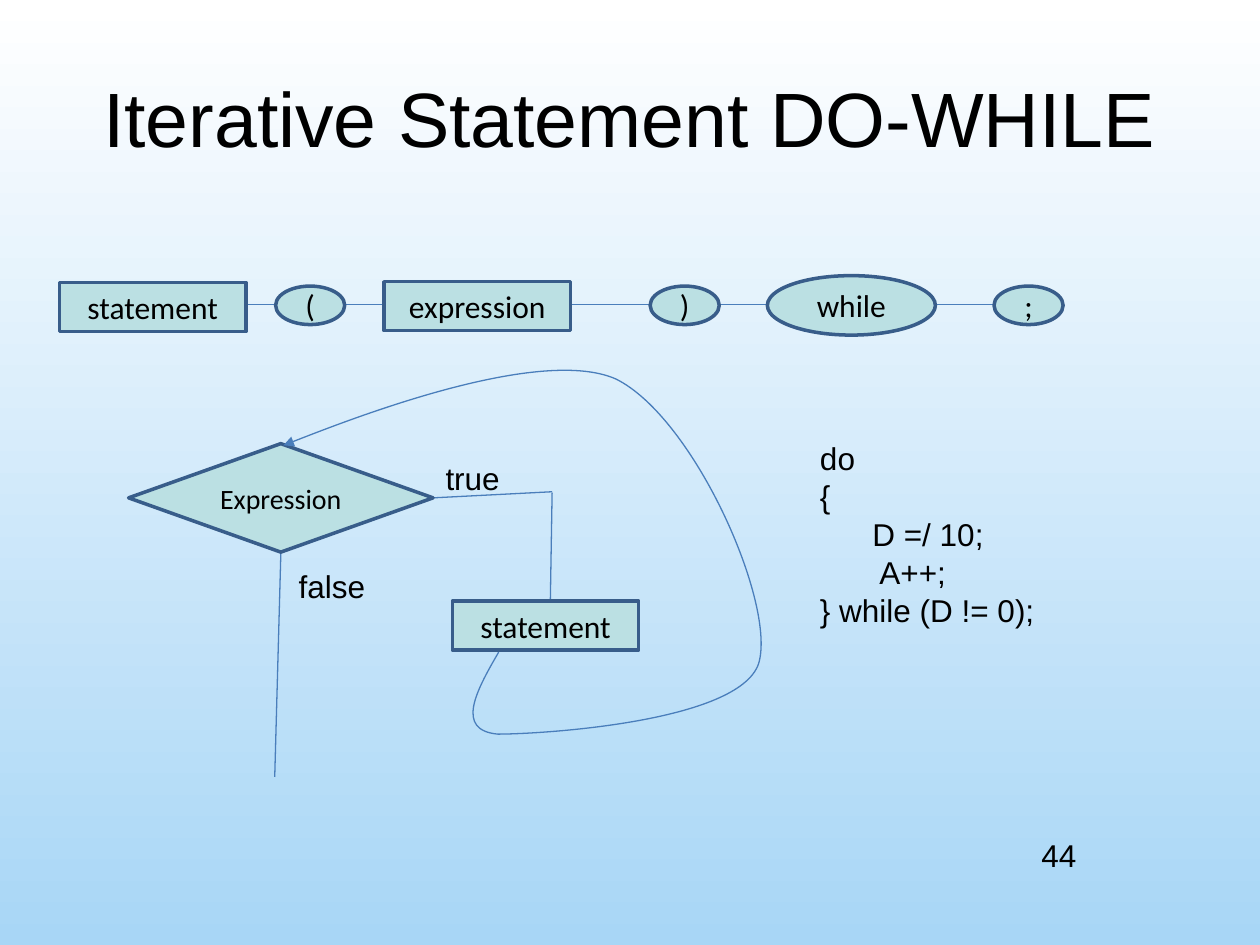
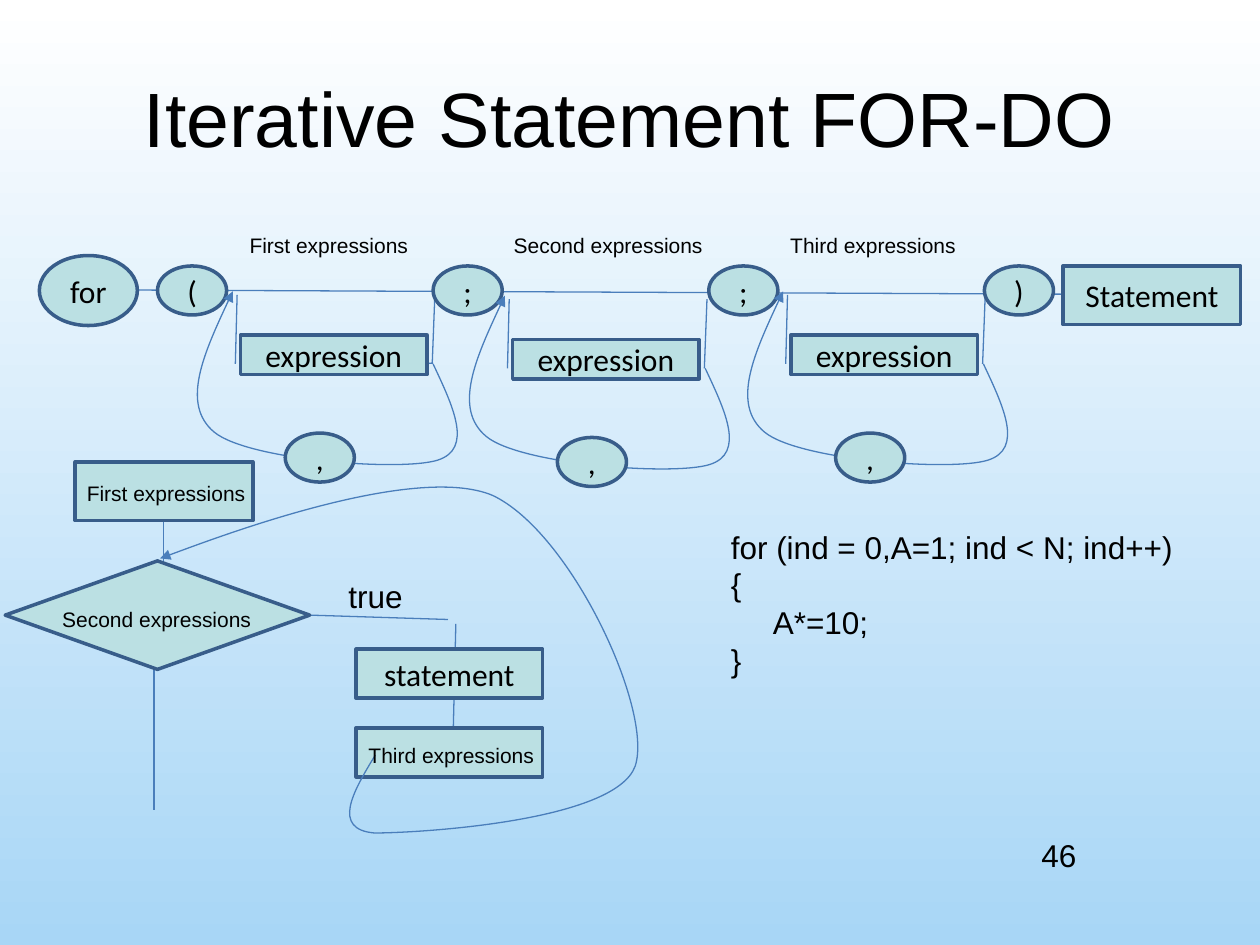
from lxml import etree
from pptx import Presentation
from pptx.dml.color import RGBColor
from pptx.enum.shapes import MSO_CONNECTOR, MSO_SHAPE
from pptx.enum.text import MSO_ANCHOR, PP_ALIGN
from pptx.oxml.ns import qn
from pptx.util import Pt

OVAL, RECT, DIAMOND = MSO_SHAPE.OVAL, MSO_SHAPE.RECTANGLE, MSO_SHAPE.DIAMOND
STRAIGHT = MSO_CONNECTOR.STRAIGHT
LEFT, CENTER = PP_ALIGN.LEFT, PP_ALIGN.CENTER
TOP, MIDDLE = MSO_ANCHOR.TOP, MSO_ANCHOR.MIDDLE

COLORS = {
    "sky_top": "FFFFFF",
    "sky_bottom": "A8D6F6",
    "node": "BBE0E3",
    "node_border": "385D8A",
    "line": "4A7EBB",
    "text": "000000",
}
RGB = {name: RGBColor.from_string(value) for name, value in COLORS.items()}


def add_box(page, preset, text, bounds, size=18, align=LEFT, anchor=TOP):
    """Add a diagram node, or a plain text box when preset is None."""
    bounds = [Pt(value) for value in bounds]
    if preset is None:
        box = page.shapes.add_textbox(*bounds)
    else:
        box = page.shapes.add_shape(preset, *bounds)
        box.shadow.inherit = False
        box.fill.solid()
        box.fill.fore_color.rgb = RGB["node"]
        box.line.color.rgb = RGB["node_border"]
        box.line.width = Pt(2)
        align, anchor = CENTER, MIDDLE
    if not text:
        return
    frame = box.text_frame
    frame.word_wrap = True
    frame.vertical_anchor = anchor
    frame.text = text
    for para in frame.paragraphs:
        para.alignment = align
        para.font.name = "Calibri" if preset else "Arial"
        para.font.size = Pt(size)
        para.font.color.rgb = RGB["text"]


def feedback_curve(left, top, height):
    """Points of the loop that leads from the statement back to the condition."""
    outline = [(123, 0.79), (110, 0.89), (98, 0.99), (122.5, 1),
               (147, 1), (260, 0.97), (271.5, 0.82),
               (282, 0.67), (235, 0.19), (190, 0.09),
               (144.5, 0), (0, 0.26), (0, 0.26)]
    return [(left + x, top + height * y) for x, y in outline]


# DO-WHILE: syntax row, flow chart and code
do_while = {
    "title": "Iterative Statement DO-WHILE",
    "number": "44",
    "lines": [(34, 174, 596, 174), (247.5, 284.5, 315.5, 281),
              (315.5, 281.5, 314.5, 343.5), (160.5, 315.5, 157, 444)],
    "nodes": [
        (RECT, "statement", (34, 161.5, 106.5, 28)),
        (OVAL, "(", (157.5, 163.5, 39.5, 22)),
        (RECT, "expression", (219.5, 161, 106.5, 28)),
        (OVAL, ")", (371.5, 163.5, 39.5, 22)),
        (OVAL, "while", (438.5, 157.5, 96, 34)),
        (OVAL, ";", (568, 163.5, 39.5, 22)),
        (DIAMOND, "Expression", (73.5, 253.5, 174, 62), 16),
        (RECT, "statement", (258.5, 343.5, 106.5, 28)),
    ],
    "curves": [feedback_curve(162, 196.5, 223)],
    "commas": [],
    "labels": [
        ("true", (247.5, 258.5, 62, 29), 18),
        ("false", (163.5, 320.5, 62, 29), 18),
        ("do\n{\n      D =/ 10;\n       A++;\n} while (D != 0);",
         (461.5, 247.5, 225, 137), 18),
    ],
}

# FOR-DO: syntax row, flow chart and code
for_do = {
    "title": "Iterative Statement FOR-DO",
    "number": "46",
    "lines": [(22, 165.5, 698, 168.5), (137.5, 209, 247.5, 207.5),
              (260.5, 356.5, 259, 418.5), (177, 351.5, 256, 354),
              (93.5, 298, 93.5, 321), (88, 383, 88, 463)],
    "nodes": [
        (OVAL, "for", (22.5, 146, 56, 40)),
        (RECT, "Statement", (607.5, 152, 101.5, 33.5)),
        (RECT, "", (43, 264, 101.5, 33.5)),
        (DIAMOND, "", (3, 320.5, 174, 62)),
        (RECT, "statement", (203.5, 371, 106.5, 28)),
        (RECT, "", (203.5, 416, 106.5, 28)),
    ],
    "curves": [feedback_curve(91.5, 264, 212)],
    "commas": [],
    "labels": [
        ("First expressions", (135.5, 129.5, 112, 21.5), 12),
        ("Second expressions", (286.5, 129.5, 130, 21.5), 12),
        ("Third expressions", (444.5, 129.5, 130, 21.5), 12),
        ("First expressions", (42.5, 271, 112, 21.5), 12),
        ("Second expressions", (28.5, 343, 130, 21.5), 12),
        ("Third expressions", (203.5, 421, 130, 21.5), 12),
        ("true", (192, 326, 62, 29), 18),
        ("for (ind = 0,A=1; ind < N; ind++)\n{\n     A*=10;\n}",
         (410.5, 298, 281.5, 93.5), 18),
    ],
}

# Separators of the FOR-DO header
for index, sign in enumerate("(;;)"):
    for_do["nodes"].append((OVAL, sign, (90 + 157.5 * index, 152, 39.5, 28)))

# Comma loop around each expression of the FOR-DO header
comma_loop = [(110, 16.5), (121.5, 41), (133, 65), (112.5, 71.5),
              (91.5, 78), (4.5, 71.5), (-15, 55.5),
              (-34.5, 39.5), (-19.5, 7), (-4.5, -25)]
for left, top in [(137.5, 191.5), (293, 194), (452, 191.5)]:
    for_do["nodes"].append((RECT, "expression", (left, top, 106.5, 22.5)))
    for_do["lines"] += [(left - 2, top - 23, left - 3, top + 16.5),
                        (left + 111, top - 23, left + 109.5, top + 16.5)]
    for_do["curves"].append([(left + x, top + y) for x, y in comma_loop])
    for_do["commas"].append((OVAL, ",", (left + 25.5, top + 56, 39.5, 28)))

deck = Presentation()
deck.slide_width, deck.slide_height = Pt(720), Pt(540)

for content in (do_while, for_do):
    page = deck.slides.add_slide(deck.slide_layouts[6])

    # Background, title and page number
    sky = page.background.fill
    sky.gradient()
    sky.gradient_angle = 270
    for stop, name in zip(sky.gradient_stops, ("sky_top", "sky_bottom")):
        stop.color.rgb = RGB[name]
    add_box(page, None, content["title"], (36, 21.5, 648, 90), 44, CENTER, MIDDLE)
    add_box(page, None, content["number"], (588, 474, 168, 37))

    # Straight lines, behind the nodes
    for ends in content["lines"]:
        line = page.shapes.add_connector(STRAIGHT, *[Pt(value) for value in ends])
        line.line.color.rgb = RGB["line"]
        line.line.width = Pt(0.75)
        etree.SubElement(line.element.spPr, qn("a:effectLst"))

    for node in content["nodes"]:
        add_box(page, *node)

    # Curved arrows: every three points make one Bézier segment
    for points in content["curves"]:
        start, *rest = [(Pt(x), Pt(y)) for x, y in points]
        builder = page.shapes.build_freeform(*start)
        builder.add_line_segments(rest, close=False)
        curve = builder.convert_to_shape()
        curve.shadow.inherit = False
        curve.fill.background()
        curve.line.color.rgb = RGB["line"]
        curve.line.width = Pt(0.75)
        properties = curve.element.spPr
        etree.SubElement(properties.find(qn("a:ln")), qn("a:tailEnd"), type="triangle")
        steps = properties.findall(".//" + qn("a:lnTo"))
        for first, second, third in zip(steps[::3], steps[1::3], steps[2::3]):
            first.tag = qn("a:cubicBezTo")
            for step in (second, third):
                first.append(step[0])
                step.getparent().remove(step)

    for comma in content["commas"]:
        add_box(page, *comma)
    for text, bounds, size in content["labels"]:
        add_box(page, None, text, bounds, size)

deck.save("out.pptx")
